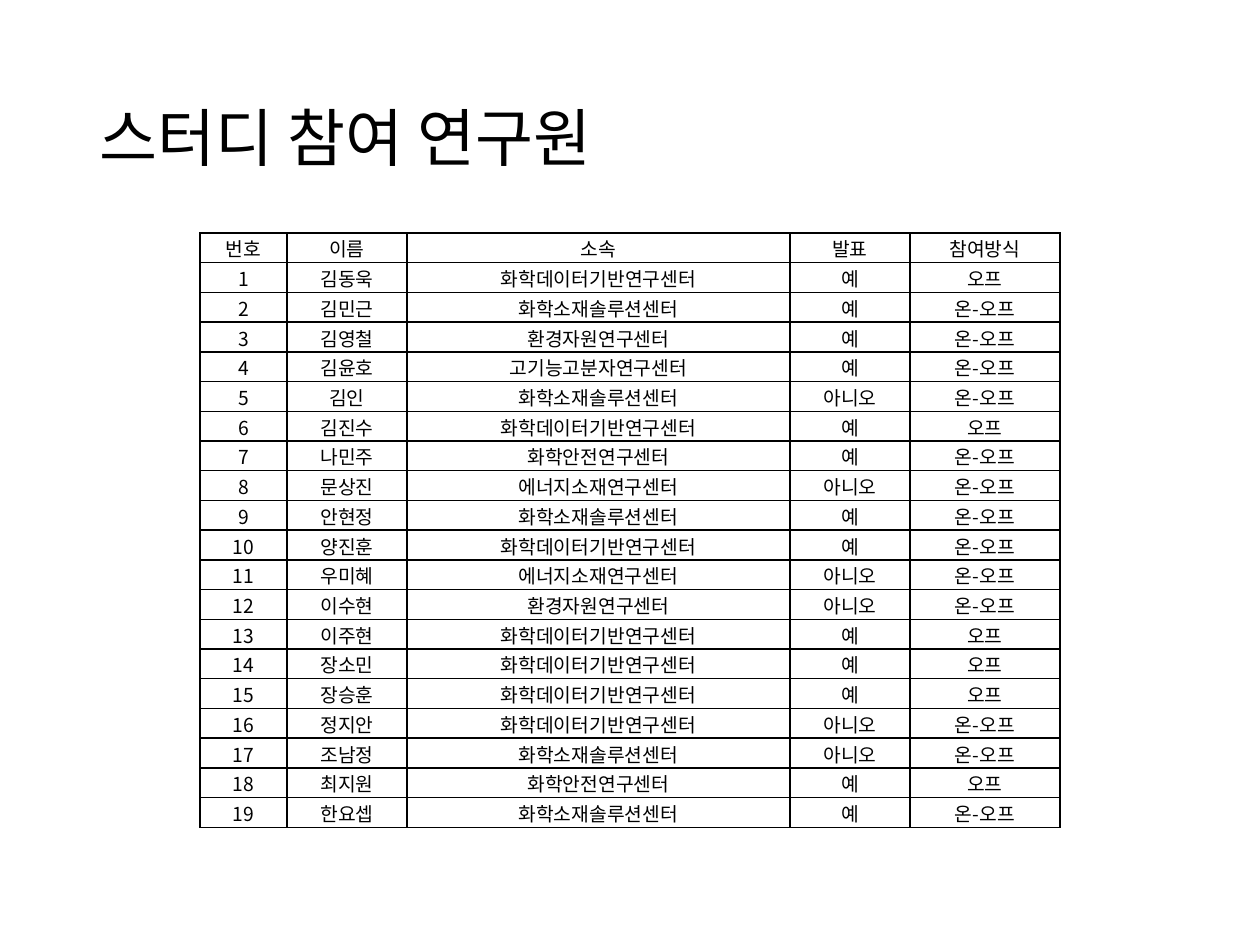
from dataclasses import dataclass

from lxml.etree import SubElement
from pptx import Presentation
from pptx.dml.color import RGBColor
from pptx.enum.text import MSO_ANCHOR, PP_ALIGN
from pptx.oxml.ns import qn
from pptx.util import Emu, Pt


@dataclass(frozen=True)
class Theme:
    font: str = "Noto Sans CJK KR"
    ink: str = "000000"
    title_size: int = 36
    cell_size: int = 11
    border: int = 1


PX_PER_INCH = 126
SLIDE_SIZE = (1260, 945)
TITLE_BOX = (87, 50, 1086, 183)
TABLE_CORNER = (200, 233)
TABLE_HEIGHT = 595
COLUMN_WIDTHS = [87, 120, 383, 120, 150]

HEADER = ("번호", "이름", "소속", "발표", "참여방식")
RESEARCHERS = [
    ("김동욱", "화학데이터기반연구센터", "예", "오프"),
    ("김민근", "화학소재솔루션센터", "예", "온-오프"),
    ("김영철", "환경자원연구센터", "예", "온-오프"),
    ("김윤호", "고기능고분자연구센터", "예", "온-오프"),
    ("김인", "화학소재솔루션센터", "아니오", "온-오프"),
    ("김진수", "화학데이터기반연구센터", "예", "오프"),
    ("나민주", "화학안전연구센터", "예", "온-오프"),
    ("문상진", "에너지소재연구센터", "아니오", "온-오프"),
    ("안현정", "화학소재솔루션센터", "예", "온-오프"),
    ("양진훈", "화학데이터기반연구센터", "예", "온-오프"),
    ("우미혜", "에너지소재연구센터", "아니오", "온-오프"),
    ("이수현", "환경자원연구센터", "아니오", "온-오프"),
    ("이주현", "화학데이터기반연구센터", "예", "오프"),
    ("장소민", "화학데이터기반연구센터", "예", "오프"),
    ("장승훈", "화학데이터기반연구센터", "예", "오프"),
    ("정지안", "화학데이터기반연구센터", "아니오", "온-오프"),
    ("조남정", "화학소재솔루션센터", "아니오", "온-오프"),
    ("최지원", "화학안전연구센터", "예", "오프"),
    ("한요셉", "화학소재솔루션센터", "예", "온-오프"),
]


def px(n):
    return Emu(round(n * 914400 / PX_PER_INCH))


def apply(target, values):
    for name, value in values.items():
        setattr(target, name, value)


class SlideBuilder:
    def __init__(self, slide, theme):
        self.s = slide
        self.theme = theme

    def text(self, tf, content, size, **paragraph_format):
        p = tf.paragraphs[0]
        apply(p, paragraph_format)
        r = p.add_run()
        r.text = content
        apply(r.font, {"size": Pt(size), "name": self.theme.font})
        r.font.color.rgb = RGBColor.from_string(self.theme.ink)
        # Hangul takes its typeface from the East Asian font slot.
        SubElement(r.font._element, qn("a:ea"), typeface=self.theme.font)

    def title(self, box, content):
        tf = self.s.shapes.add_textbox(*map(px, box)).text_frame
        apply(tf, {"word_wrap": True, "vertical_anchor": MSO_ANCHOR.MIDDLE})
        self.text(tf, content, self.theme.title_size, line_spacing=0.9)

    def borders(self, cell):
        tc_pr = cell._tc.get_or_add_tcPr()
        for side in ("lnL", "lnR", "lnT", "lnB"):
            line = SubElement(tc_pr, qn(f"a:{side}"), w=str(Pt(self.theme.border)))
            fill = SubElement(line, qn("a:solidFill"))
            SubElement(fill, qn("a:srgbClr"), val=self.theme.ink)

    def cell(self, cell, content):
        apply(cell, {
            "vertical_anchor": MSO_ANCHOR.MIDDLE,
            "margin_left": px(1),
            "margin_right": px(1),
            "margin_top": px(1),
            "margin_bottom": 0,
        })
        self.borders(cell)
        cell.fill.background()
        self.text(cell.text_frame, content, self.theme.cell_size,
                  alignment=PP_ALIGN.CENTER)

    def table(self, corner, widths, height, rows):
        size = (sum(widths), height)
        table = self.s.shapes.add_table(
            len(rows), len(widths), *map(px, corner + size)).table
        apply(table, {"first_row": False, "horz_banding": False})
        for column, width in zip(table.columns, widths):
            column.width = px(width)
        for row, values in zip(table.rows, rows):
            row.height = px(height / len(rows))
            for cell, content in zip(row.cells, values):
                self.cell(cell, content)


def main():
    prs = Presentation()
    prs.slide_width, prs.slide_height = map(px, SLIDE_SIZE)
    builder = SlideBuilder(prs.slides.add_slide(prs.slide_layouts[6]), Theme())
    builder.title(TITLE_BOX, "스터디 참여 연구원")
    numbered = [(str(n), *person) for n, person in enumerate(RESEARCHERS, 1)]
    builder.table(TABLE_CORNER, COLUMN_WIDTHS, TABLE_HEIGHT, [HEADER] + numbered)
    prs.save("out.pptx")


if __name__ == "__main__":
    main()
